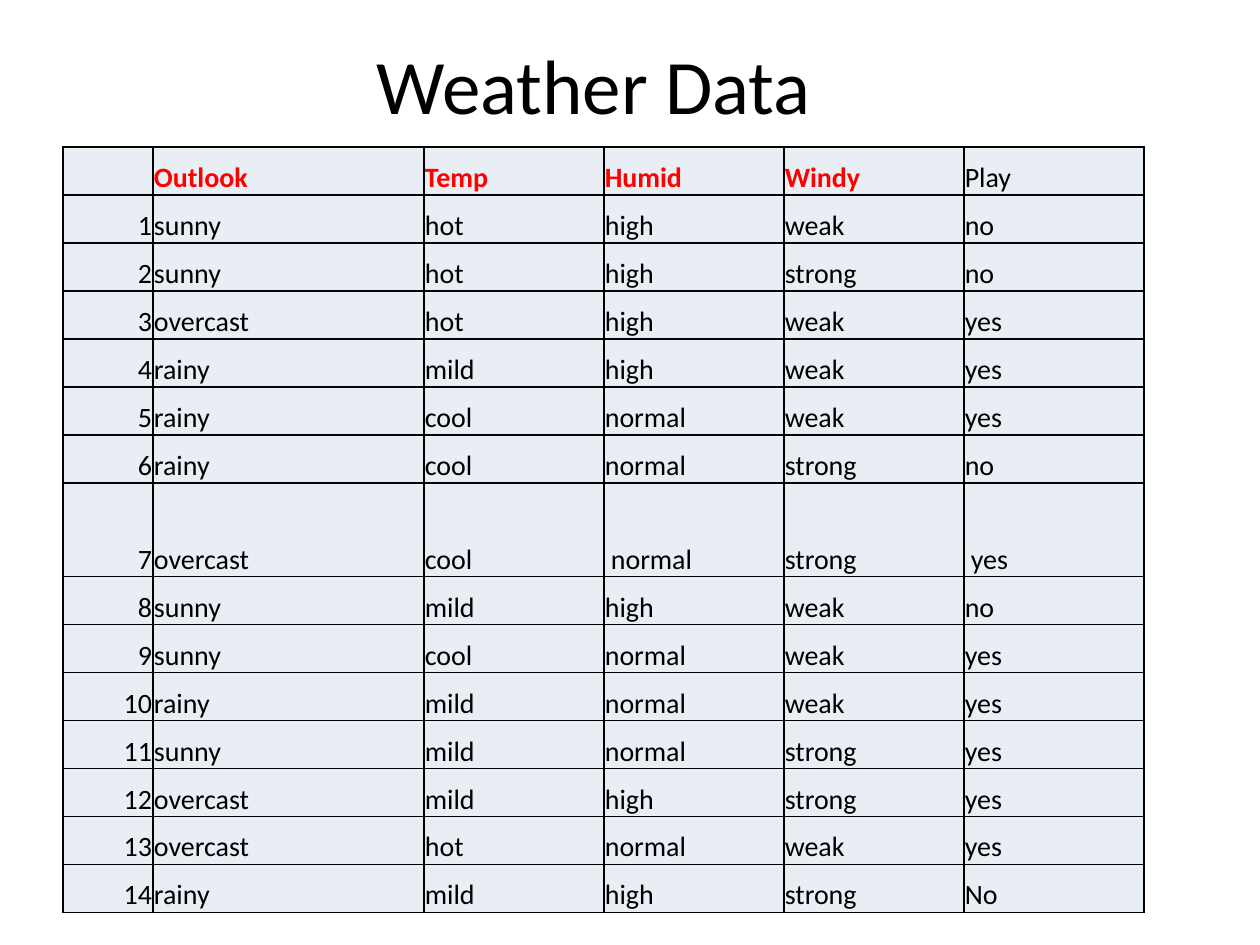
from lxml import etree
from pptx import Presentation
from pptx.dml.color import RGBColor
from pptx.enum.text import MSO_ANCHOR, PP_ALIGN
from pptx.oxml.ns import qn
from pptx.util import Pt

LEFT, CENTER, RIGHT = PP_ALIGN.LEFT, PP_ALIGN.CENTER, PP_ALIGN.RIGHT
MIDDLE, BOTTOM = MSO_ANCHOR.MIDDLE, MSO_ANCHOR.BOTTOM
EMU_PER_PX = 914400 // 126

TITLE = "Weather Data"
HEADERS = ["", "Outlook", "Temp", "Humid", "Windy", "Play"]
DAYS = [
    ("sunny", "hot", "high", "weak", "no"),
    ("sunny", "hot", "high", "strong", "no"),
    ("overcast", "hot", "high", "weak", "yes"),
    ("rainy", "mild", "high", "weak", "yes"),
    ("rainy", "cool", "normal", "weak", "yes"),
    ("rainy", "cool", "normal", "strong", "no"),
    ("overcast", "cool", "normal", "strong", "yes"),
    ("sunny", "mild", "high", "weak", "no"),
    ("sunny", "cool", "normal", "weak", "yes"),
    ("rainy", "mild", "normal", "weak", "yes"),
    ("sunny", "mild", "normal", "strong", "yes"),
    ("overcast", "mild", "high", "strong", "yes"),
    ("overcast", "hot", "normal", "weak", "yes"),
    ("rainy", "mild", "high", "strong", "No"),
]
ROWS = [HEADERS] + [(str(number), *day) for number, day in enumerate(DAYS, 1)]

COLUMN_WIDTHS = [90, 271, 180, 180, 180, 180]
TALL_ROW = 7
ROW_HEIGHTS = [94 if row == TALL_ROW else 48 for row in range(len(ROWS))]
INDENTED_CELLS = {(TALL_ROW, 3), (TALL_ROW, 5)}

BLACK, RED, PALE_BLUE = "000000", "FF0000", "E9EDF4"


def px(length):
    return length * EMU_PER_PX


def color(value):
    return RGBColor.from_string(value)


def write_text(frame, text, size=16, fill=BLACK, bold=False, align=LEFT):
    paragraph = frame.paragraphs[0]
    paragraph.alignment = align
    run = paragraph.add_run()
    run.text = text
    font = run.font
    font.name, font.size, font.bold = "Calibri", Pt(size), bold
    font.color.rgb = color(fill)


def set_margins(target, left, top, right, bottom):
    target.margin_left, target.margin_top = px(left), px(top)
    target.margin_right, target.margin_bottom = px(right), px(bottom)


def add_borders(cell):
    properties = cell._tc.get_or_add_tcPr()
    for side in ("a:lnL", "a:lnR", "a:lnT", "a:lnB"):
        line = etree.SubElement(properties, qn(side), w=str(Pt(1)))
        fill = etree.SubElement(line, qn("a:solidFill"))
        etree.SubElement(fill, qn("a:srgbClr"), val=BLACK)


def add_title(slide):
    box = slide.shapes.add_textbox(px(63), px(21), px(1134), px(126))
    frame = box.text_frame
    frame.word_wrap = True
    frame.vertical_anchor = MIDDLE
    set_margins(frame, 12, 6, 84, 6)
    write_text(frame, TITLE, size=44, align=CENTER)


def add_weather_table(slide):
    table = slide.shapes.add_table(
        len(ROWS), len(HEADERS), px(63), px(147),
        px(sum(COLUMN_WIDTHS)), px(sum(ROW_HEIGHTS))).table
    for column, width in zip(table.columns, COLUMN_WIDTHS):
        column.width = px(width)
    for row, height in zip(table.rows, ROW_HEIGHTS):
        row.height = px(height)

    for row, texts in enumerate(ROWS):
        for column, text in enumerate(texts):
            cell = table.cell(row, column)
            add_borders(cell)
            cell.fill.solid()
            cell.fill.fore_color.rgb = color(PALE_BLUE)
            cell.vertical_anchor = BOTTOM
            set_margins(cell, 7 if (row, column) in INDENTED_CELLS else 1, 1, 1, 0)
            is_attribute = row == 0 and text != "Play"
            write_text(cell.text_frame, text,
                       fill=RED if is_attribute else BLACK,
                       bold=is_attribute,
                       align=RIGHT if column == 0 else LEFT)


def main():
    presentation = Presentation()
    presentation.slide_width, presentation.slide_height = px(1260), px(945)
    slide = presentation.slides.add_slide(presentation.slide_layouts[6])
    add_title(slide)
    add_weather_table(slide)
    presentation.save("out.pptx")


if __name__ == "__main__":
    main()
